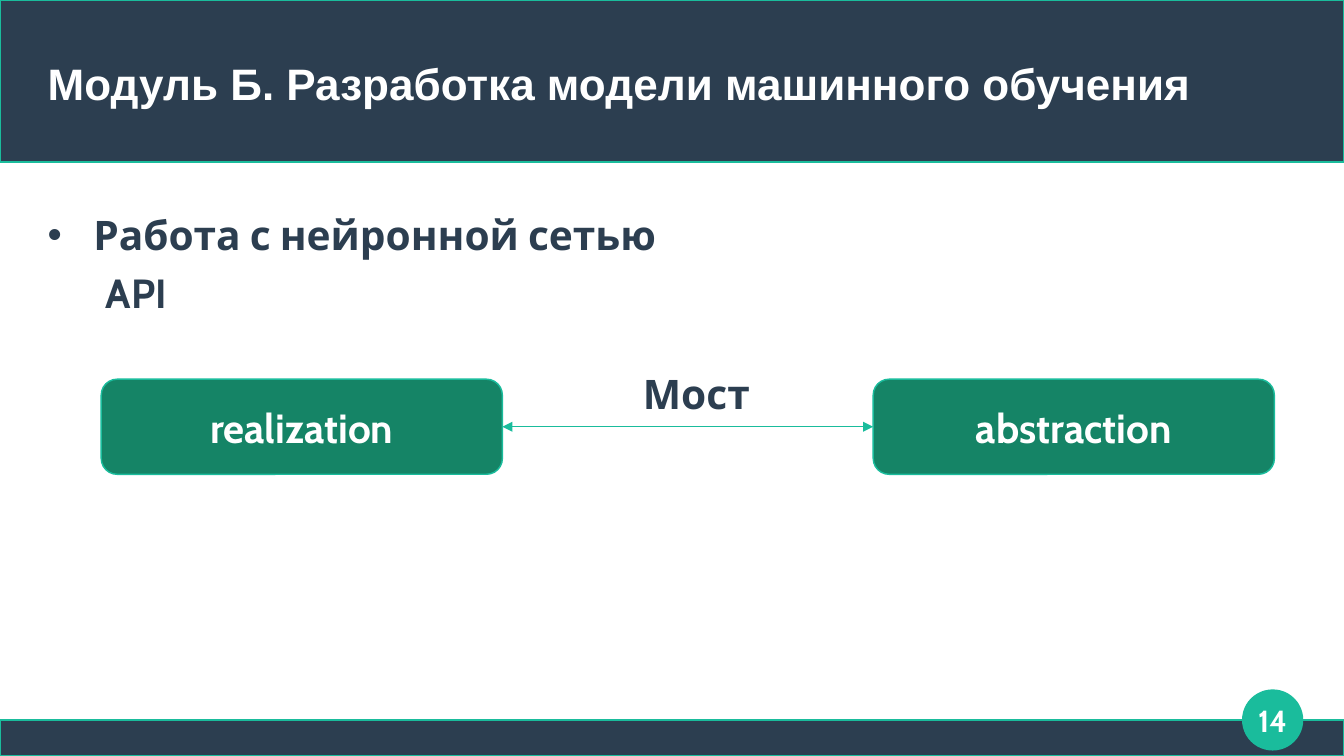
import dataclasses
import typing

import lxml.etree
import pptx
import pptx.dml.color
import pptx.enum.shapes
import pptx.enum.text
import pptx.oxml.ns
import pptx.util

Kind = pptx.enum.shapes.MSO_SHAPE
Align = pptx.enum.text.PP_ALIGN
Anchor = pptx.enum.text.MSO_ANCHOR
qn = pptx.oxml.ns.qn


@dataclasses.dataclass(frozen=True)
class Theme:
    navy: str = "2C3E50"
    teal: str = "1ABC9C"
    green: str = "158466"
    white: str = "FFFFFF"
    head: str = "Arial"
    main: str = "Cabin"
    big: float = 26
    mid: float = 24
    small: float = 18
    edge: float = 0.85


class Area(typing.NamedTuple):
    col: float
    row: float
    cols: float
    rows: float


class Block(typing.NamedTuple):
    kind: Kind
    area: Area
    fill: str
    text: str = ""


class Label(typing.NamedTuple):
    area: Area
    text: str
    size: float
    color: str
    align: Align
    pad: tuple[float, float]


LOOK = Theme()
WIDE, HIGH = pptx.util.Inches(11.02), pptx.util.Inches(6.2)
COLS = ROWS = 100
PAD = (0.1, 0.05)
BARE = (0, 0)


def color(code: str) -> pptx.dml.color.RGBColor:
    return pptx.dml.color.RGBColor.from_string(code)


def place(area: Area) -> tuple[int, int, int, int]:
    unit, step = WIDE / COLS, HIGH / ROWS
    return (round(area.col * unit), round(area.row * step),
            round(area.cols * unit), round(area.rows * step))


def write(shape, text: str, size: float, ink: str, font: str = LOOK.main,
          align: Align = Align.LEFT, pad: tuple[float, float] = PAD,
          anchor: Anchor = Anchor.MIDDLE, wrap: bool = True):
    frame = shape.text_frame
    frame.text = text
    frame.word_wrap = wrap
    frame.auto_size = pptx.enum.text.MSO_AUTO_SIZE.NONE
    frame.vertical_anchor = anchor
    frame.margin_left = frame.margin_right = pptx.util.Inches(pad[0])
    frame.margin_top = frame.margin_bottom = pptx.util.Inches(pad[1])
    para = frame.paragraphs[0]
    para.alignment = align
    para.space_before = pptx.util.Pt(0)
    para.font.name = font
    para.font.size = pptx.util.Pt(size)
    para.font.bold = True
    para.font.color.rgb = color(ink)
    return para


def stroke(line) -> None:
    line.color.rgb = color(LOOK.teal)
    line.width = pptx.util.Pt(LOOK.edge)


def block(slide, item: Block):
    shape = slide.shapes.add_shape(item.kind, *place(item.area))
    shape.shadow.inherit = False
    shape.fill.solid()
    shape.fill.fore_color.rgb = color(item.fill)
    stroke(shape.line)
    if item.text:
        write(shape, item.text, LOOK.mid, LOOK.white,
              align=Align.CENTER, wrap=False)
    return shape


def label(slide, item: Label) -> None:
    box = slide.shapes.add_textbox(*place(item.area))
    write(box, item.text, item.size, item.color,
          align=item.align, pad=item.pad)


def bridge(slide, left, right) -> None:
    mid = left.top + left.height // 2
    link = slide.shapes.add_connector(
        pptx.enum.shapes.MSO_CONNECTOR.STRAIGHT,
        left.left + left.width, mid, right.left, mid)
    link.begin_connect(left, 3)
    link.end_connect(right, 1)
    stroke(link.line)
    props = link.element.spPr
    line = props.find(qn("a:ln"))
    for end in ("a:headEnd", "a:tailEnd"):
        lxml.etree.SubElement(line, qn(end), type="triangle")
    lxml.etree.SubElement(props, qn("a:effectLst"))


def holder(shape, area: Area) -> None:
    shape.left, shape.top, shape.width, shape.height = place(area)
    shape.element.getparent().append(shape.element)


def title(slide) -> None:
    shape = slide.shapes.title
    holder(shape, Area(3.54, 4.03, 92.92, 12.74))
    para = write(shape, "Модуль Б. Разработка модели машинного обучения",
                 LOOK.big, LOOK.white, font=LOOK.head, pad=BARE)
    para.line_spacing = 1.15


def body(slide) -> None:
    shape = slide.placeholders[1]
    holder(shape, Area(3.54, 27.74, 76.95, 10))
    shape.text_frame.text = ""
    props = shape.text_frame.paragraphs[0]._p.get_or_add_pPr()
    props.set("marL", str(pptx.util.Inches(0.47)))
    props.set("indent", "0")
    lxml.etree.SubElement(props, qn("a:buNone"))
    para = write(shape, "Работа с нейронной сетью", LOOK.mid, LOOK.navy,
                 pad=BARE, anchor=Anchor.TOP)
    para.space_after = pptx.util.Pt(10.6)


FRAME = (
    Block(Kind.RECTANGLE, Area(0, 95.24, COLS, 4.76), LOOK.navy),
    Block(Kind.RECTANGLE, Area(0, 0, COLS, 21.45), LOOK.navy),
    Block(Kind.OVAL, Area(92.47, 91.29, 4.45, 7.9), LOOK.teal),
)
SIDES = tuple(
    Block(Kind.ROUNDED_RECTANGLE, Area(col, 50.16, 29.85, 12.58),
          LOOK.green, name)
    for col, name in ((7.53, "realization"), (64.97, "abstraction"))
)
LABELS = (
    Label(Area(6.99, 32.42, 29.58, 12.42), "API",
          LOOK.mid, LOOK.navy, Align.LEFT, PAD),
    Label(Area(44.19, 47.42, 15.25, 9.19), "Мост",
          LOOK.mid, LOOK.navy, Align.CENTER, PAD),
    Label(Area(91.11, 91.29, 7.17, 7.9), "14",
          LOOK.small, LOOK.white, Align.CENTER, BARE),
)


def main() -> None:
    deck = pptx.Presentation()
    deck.slide_width, deck.slide_height = WIDE, HIGH
    slide = deck.slides.add_slide(deck.slide_layouts[1])
    for item in FRAME:
        block(slide, item)
    title(slide)
    body(slide)
    left, right = (block(slide, item) for item in SIDES)
    bridge(slide, left, right)
    for item in LABELS:
        label(slide, item)
    deck.save("out.pptx")


if __name__ == "__main__":
    main()
